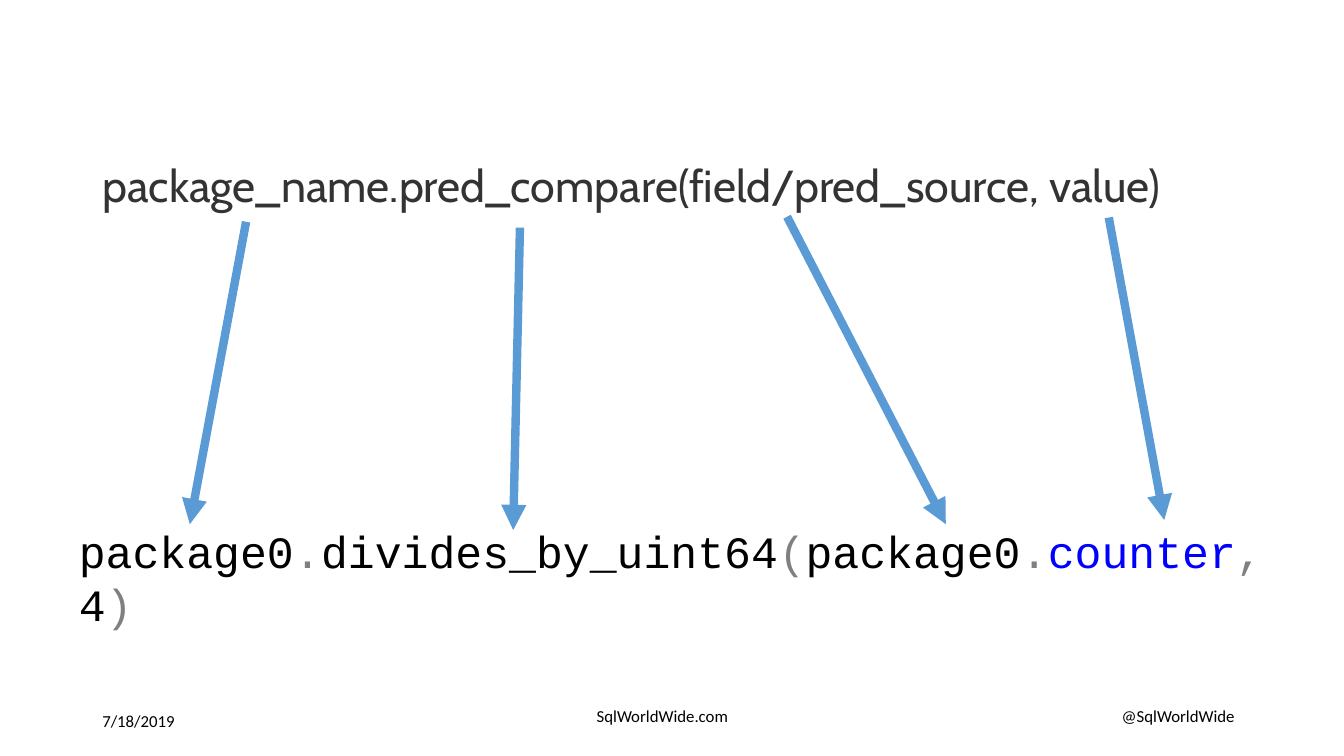
from dataclasses import dataclass

from lxml import etree
from pptx import Presentation
from pptx import util as u
from pptx.dml.color import RGBColor
from pptx.enum import shapes, text
from pptx.oxml import ns

COLS, ROWS = 80, 45
COLORS = {
    "black": "000000",
    "heading": "333333",
    "punctuation": "808080",
    "field": "0000FF",
    "arrow": "5B9BD5",
}
FOOTER = {"name": "Calibri", "size": u.Pt(12)}
PATTERN = {"name": "Cabin", "size": u.Pt(32)}
CODE = {"name": "Courier New", "size": u.Pt(32)}
GROW = {"auto_size": text.MSO_AUTO_SIZE.SHAPE_TO_FIT_TEXT}


@dataclass(frozen=True)
class Label:
    col: float
    row: float
    cols: float
    rows: float
    runs: tuple[tuple[str, str], ...]
    font: dict
    frame: dict
    right_tab: float = 0


@dataclass(frozen=True)
class Arrow:
    start: tuple[float, float]
    end: tuple[float, float]


LABELS = (
    Label(5.5, 41.7, 18, 2.4, (("7/18/2019", "black"),), FOOTER,
          {"word_wrap": True, "vertical_anchor": text.MSO_ANCHOR.MIDDLE}),
    Label(34.68, 41.7, 39.78, 2.4,
          (("SqlWorldWide.com\t@SqlWorldWide", "black"),), FOOTER,
          {"word_wrap": True, "margin_left": u.Inches(0.14)}, right_tab=37.98),
    Label(4.1, 30.85, 73.2, 3.85,
          (("package0", "black"), (".", "punctuation"),
           ("divides_by_uint64", "black"), ("(", "punctuation"),
           ("package0", "black"), (".", "punctuation"),
           ("counter", "field"), (",", "punctuation"),
           ("4", "black"), (")", "punctuation")),
          CODE, {"word_wrap": True, **GROW}),
    Label(5.5, 9.1, 66.12, 3.85,
          (("package_name.pred_compare(field/pred_source, value)", "heading"),),
          PATTERN, {"word_wrap": False, **GROW}),
)
ARROWS = (
    Arrow((14.65, 13.2), (11.3, 31.2)),
    Arrow((30.95, 13.55), (30.55, 31.55)),
    Arrow((46.85, 12.9), (56.3, 31.2)),
    Arrow((66, 12.95), (69.3, 30.95)),
)

prs = Presentation()
prs.slide_width, prs.slide_height = u.Inches(40 / 3), u.Inches(7.5)


def x(cols: float) -> int:
    return round(prs.slide_width * cols / COLS)


def y(rows: float) -> int:
    return round(prs.slide_height * rows / ROWS)


def apply(target: object, formats: dict) -> None:
    for key, value in formats.items():
        setattr(target, key, value)


def draw_label(s, label: Label) -> None:
    sp = s.shapes.add_textbox(x(label.col), y(label.row), x(label.cols), y(label.rows))
    tf = sp.text_frame
    apply(tf, label.frame)
    p = tf.paragraphs[0]
    if label.right_tab:
        tabs = etree.SubElement(p._p.get_or_add_pPr(), ns.qn("a:tabLst"))
        etree.SubElement(tabs, ns.qn("a:tab"), pos=str(x(label.right_tab)), algn="r")
    for words, color in label.runs:
        r = p.add_run()
        r.text = words
        apply(r.font, label.font)
        r.font.color.rgb = RGBColor.from_string(COLORS[color])


def draw_arrow(s, arrow: Arrow) -> None:
    (x1, y1), (x2, y2) = arrow.start, arrow.end
    sp = s.shapes.add_connector(shapes.MSO_CONNECTOR.STRAIGHT, x(x1), y(y1), x(x2), y(y2))
    sp.line.color.rgb = RGBColor.from_string(COLORS["arrow"])
    sp.line.width = u.Pt(6)
    etree.SubElement(sp.line._get_or_add_ln(), ns.qn("a:tailEnd"), type="triangle")
    etree.SubElement(sp._element.spPr, ns.qn("a:effectLst"))


def main() -> None:
    s = prs.slides.add_slide(prs.slide_layouts[6])
    for label in LABELS:
        draw_label(s, label)
    for arrow in ARROWS:
        draw_arrow(s, arrow)
    prs.save("out.pptx")


if __name__ == "__main__":
    main()
